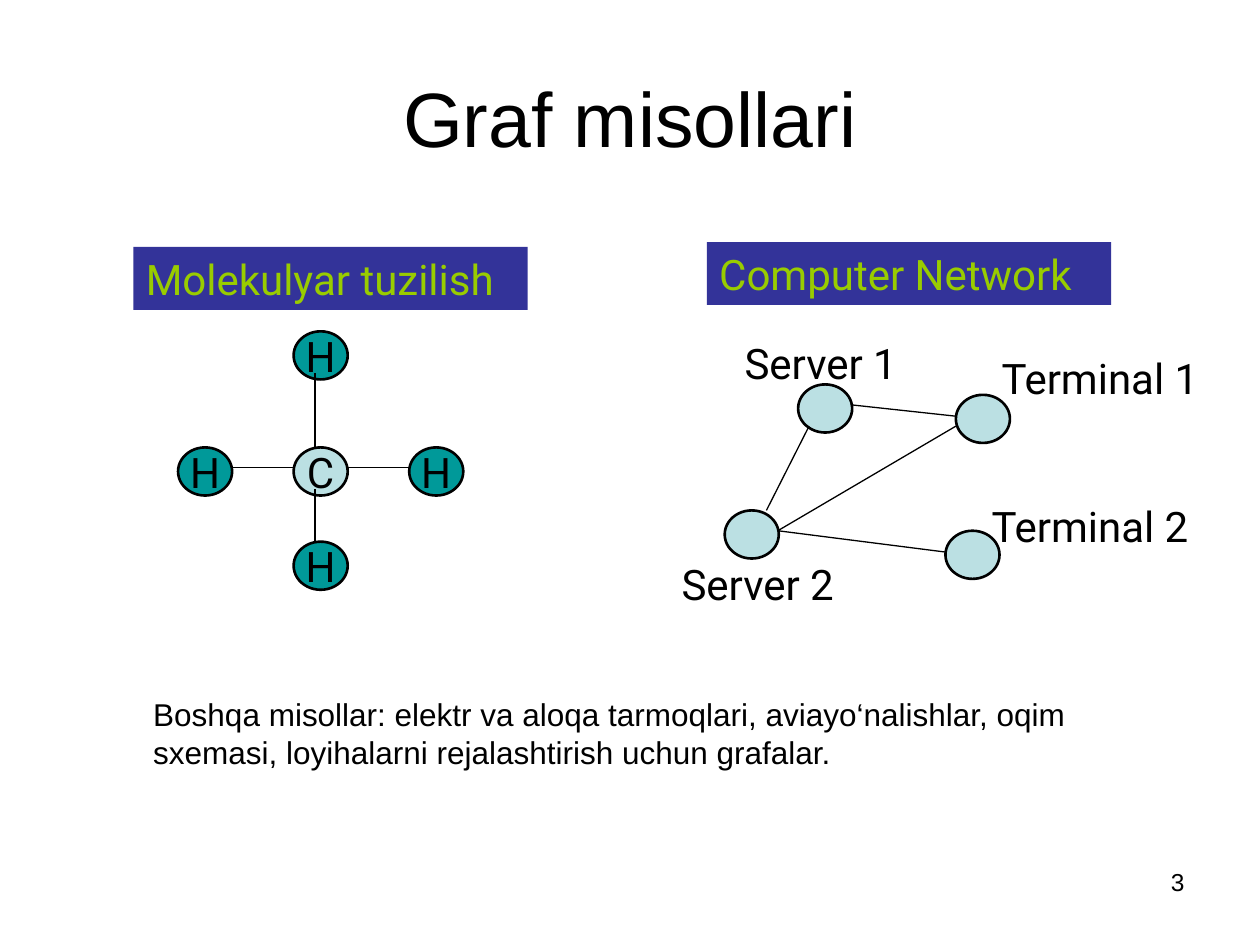
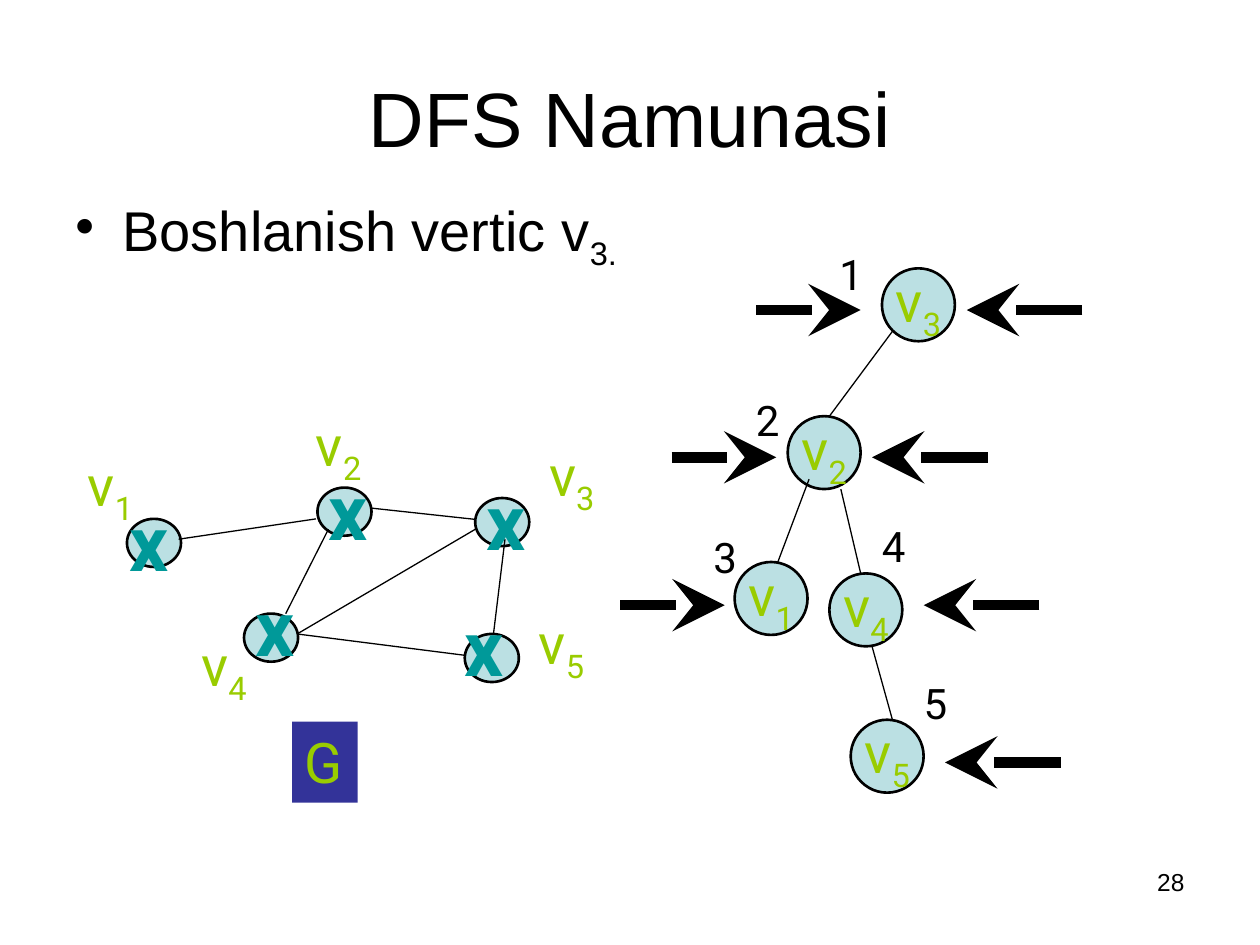
from dataclasses import dataclass
from lxml.etree import SubElement
from pptx import Presentation
from pptx.dml.color import RGBColor
from pptx.enum.shapes import MSO_CONNECTOR, MSO_SHAPE
from pptx.enum.text import MSO_ANCHOR, MSO_AUTO_SIZE, PP_ALIGN
from pptx.oxml.ns import qn
from pptx.util import Cm, Pt


@dataclass(frozen=True)
class Theme:
    ink: str = "000000"
    teal: str = "009999"
    pale: str = "BBE0E3"
    navy: str = "333399"
    lime: str = "99CC00"
    plain: str = "Arial"
    tag: str = "Roboto"
    head: int = 44
    large: int = 32
    mid: int = 24
    small: int = 18
    foot: int = 14
    thin: float = 0.75
    rim: float = 1.5
    thick: float = 6


look = Theme()


def write(shape, text, sub="", size=look.mid, font=look.tag, color=look.ink,
          bold=False, align=PP_ALIGN.LEFT, anchor=MSO_ANCHOR.TOP,
          wrap=False, grow=False, bullet=False):
    frame = shape.text_frame
    frame.word_wrap = wrap
    frame.vertical_anchor = anchor
    frame.auto_size = MSO_AUTO_SIZE.SHAPE_TO_FIT_TEXT if grow else MSO_AUTO_SIZE.NONE
    para = frame.paragraphs[0]
    para.alignment = align
    if bullet:
        props = para._p.get_or_add_pPr()
        props.set("marL", str(Cm(0.95)))
        props.set("indent", str(Cm(-0.95)))
        SubElement(props, qn("a:buChar")).set("char", "•")
    for part in filter(None, (text, sub)):
        run = para.add_run()
        run.text = part
        run.font.size = Pt(size)
        run.font.name = font
        run.font.bold = bold
        run.font.color.rgb = RGBColor.from_string(color)
    if sub:
        run._r.get_or_add_rPr().set("baseline", "-25000")


def label(slide, x, y, w, h, text, **form):
    box = slide.shapes.add_textbox(Cm(x), Cm(y), Cm(w), Cm(h))
    write(box, text, **form)


def solid(slide, kind, x, y, w, h, fill):
    shape = slide.shapes.add_shape(kind, Cm(x), Cm(y), Cm(w), Cm(h))
    shape.shadow.inherit = False
    shape.fill.solid()
    shape.fill.fore_color.rgb = RGBColor.from_string(fill)
    return shape


def node(slide, x, y, text="", w=1.09, h=0.97, fill=look.pale, **form):
    shape = solid(slide, MSO_SHAPE.OVAL, x, y, w, h, fill)
    shape.line.color.rgb = RGBColor.from_string(look.ink)
    shape.line.width = Pt(look.rim)
    if text:
        write(shape, text, align=PP_ALIGN.CENTER, anchor=MSO_ANCHOR.MIDDLE, **form)


def plate(slide, x, y, w, h, text, size=look.mid):
    shape = solid(slide, MSO_SHAPE.RECTANGLE, x, y, w, h, look.navy)
    shape.line.fill.background()
    write(shape, text, size=size, color=look.lime, grow=True)


def edge(slide, x, y, ends, width=look.thin, arrow=False):
    x1, y1, x2, y2 = ends
    line = slide.shapes.add_connector(
        MSO_CONNECTOR.STRAIGHT, Cm(x + x1), Cm(y + y1), Cm(x + x2), Cm(y + y2))
    line.line.color.rgb = RGBColor.from_string(look.ink)
    line.line.width = Pt(width)
    if arrow:
        tip = SubElement(line.line._get_or_add_ln(), qn("a:tailEnd"))
        for key, value in (("type", "stealth"), ("w", "lg"), ("len", "lg")):
            tip.set(key, value)
    SubElement(line._element.spPr, qn("a:effectLst"))


def page(deck, title, number):
    slide = deck.slides.add_slide(deck.slide_layouts[6])
    label(slide, 18.21, 17.35, 5.92, 1.32, number, size=look.foot,
          font=look.plain, align=PP_ALIGN.RIGHT, wrap=True)
    label(slide, 1.27, 0.76, 22.86, 3.18, title, size=look.head, font=look.plain,
          align=PP_ALIGN.CENTER, anchor=MSO_ANCHOR.MIDDLE, wrap=True)
    return slide


def mesh(slide, x, y):
    for dx, dy in ((1.48, 0), (4.66, 0.21), (4.45, 2.95), (0, 2.54)):
        node(slide, x + dx, y + dy)
    for ends in ((4.66, 0.64, 2.54, 0.41), (4.45, 3.38, 1.07, 2.95),
                 (4.66, 0.84, 1.07, 2.95), (1.7, 0.84, 0.84, 2.54)):
        edge(slide, x, y, ends)


def methane(slide, x, y):
    plate(slide, x, y, 7.95, 1.27, "Molekulyar tuzilish")
    cx, cy = x + 3.23, y + 4.04
    node(slide, cx, cy, "C")
    for dx, dy in ((0, 1.9), (0, -2.34), (2.33, 0), (-2.33, 0)):
        node(slide, cx + dx, cy + dy, "H", fill=look.teal)
    for ends in ((0.43, 0, 0.43, -1.5), (1.07, 0.41, 2.34, 0.41),
                 (0.43, 1.9, 0.43, 0.84), (-1.27, 0.41, 0, 0.41)):
        edge(slide, cx, cy, ends)


def network(slide, x, y):
    plate(slide, x + 0.76, y, 8.15, 1.27, "Computer Network")
    mesh(slide, x + 1.12, y + 2.87)
    for text, dx, dy, w in (("Server 1", 1.27, 1.8, 3.76),
                            ("Server 2", 0, 6.25, 3.76),
                            ("Terminal 1", 6.45, 2.11, 4.72),
                            ("Terminal 2", 6.25, 5.08, 4.72)):
        label(slide, x + dx, y + dy, w, 1.27, text, grow=True)


def graph(slide, x, y):
    mesh(slide, x + 3.4, y + 1.68)
    node(slide, x + 1.04, y + 2.31)
    edge(slide, x, y, (2.08, 2.72, 4.85, 2.31))
    edge(slide, x, y, (8.43, 4.62, 8.66, 2.72))
    for sub, dx, dy, mx, my in (("1", 0, 0.81, 0.84, 1.7),
                                ("2", 4.6, 0, 4.85, 1.07),
                                ("3", 9.3, 0.61, 8.03, 1.27),
                                ("4", 2.29, 4.44, 3.38, 3.4),
                                ("5", 9.09, 3.99, 7.59, 3.81)):
        label(slide, x + dx, y + dy, 1.45, 1.8, "v", sub=sub, size=look.large,
              color=look.lime, grow=True)
        label(slide, x + mx, y + my, 1.4, 2.13, "x", size=look.head,
              color=look.teal, bold=True, grow=True)
    plate(slide, x + 4.37, y + 6.4, 1.32, 1.63, "G", size=look.large)


def tree(slide, x, y):
    for step, (sub, dx, dy, tx, ty) in enumerate((
            ("3", 5.28, 0.53, 4.17, 0), ("2", 3.38, 3.51, 2.49, 2.95),
            ("1", 2.31, 6.45, 1.63, 5.72), ("4", 4.22, 6.68, 5.03, 5.49),
            ("5", 4.65, 9.63, 5.87, 8.66)), 1):
        node(slide, x + dx, y + dy, "v", w=1.47, h=1.47, sub=sub,
             size=look.large, color=look.lime)
        label(slide, x + tx, y + ty, 0.99, 1.27, str(step), grow=True)
    for ends in ((4.22, 3.51, 5.49, 1.8), (3.18, 6.45, 3.81, 4.78),
                 (4.45, 4.98, 4.85, 6.68), (5.49, 9.63, 5.08, 8.15)):
        edge(slide, x, y, ends)
    right, left = 2.11, -2.33
    for tip, level, run in ((4.85, 1.37, right), (3.15, 4.34, right),
                            (2.11, 7.32, right), (6.99, 1.37, left),
                            (5.08, 4.34, left), (6.12, 7.32, left),
                            (6.55, 10.49, left)):
        edge(slide, x, y, (tip - run, level, tip, level),
             width=look.thick, arrow=True)


def samples(deck):
    slide = page(deck, "Graf misollari", "3")
    methane(slide, 2.69, 4.98)
    network(slide, 13.49, 4.88)
    label(slide, 2.84, 13.89, 20.65, 1.78,
          "Boshqa misollar: elektr va aloqa tarmoqlari, aviayo‘nalishlar, "
          "oqim sxemasi, loyihalarni rejalashtirish uchun grafalar.",
          size=look.small, font=look.plain, anchor=MSO_ANCHOR.MIDDLE,
          wrap=True, grow=True)


def search(deck):
    slide = page(deck, "DFS Namunasi", "28")
    label(slide, 1.27, 3.81, 22.86, 2.44, "Boshlanish vertic v", sub="3.",
          size=look.large, font=look.plain, wrap=True, bullet=True)
    graph(slide, 1.52, 8.15)
    tree(slide, 12.5, 4.88)


def main():
    deck = Presentation()
    deck.slide_width, deck.slide_height = Cm(25.4), Cm(19.05)
    samples(deck)
    search(deck)
    deck.save("out.pptx")


if __name__ == "__main__":
    main()
